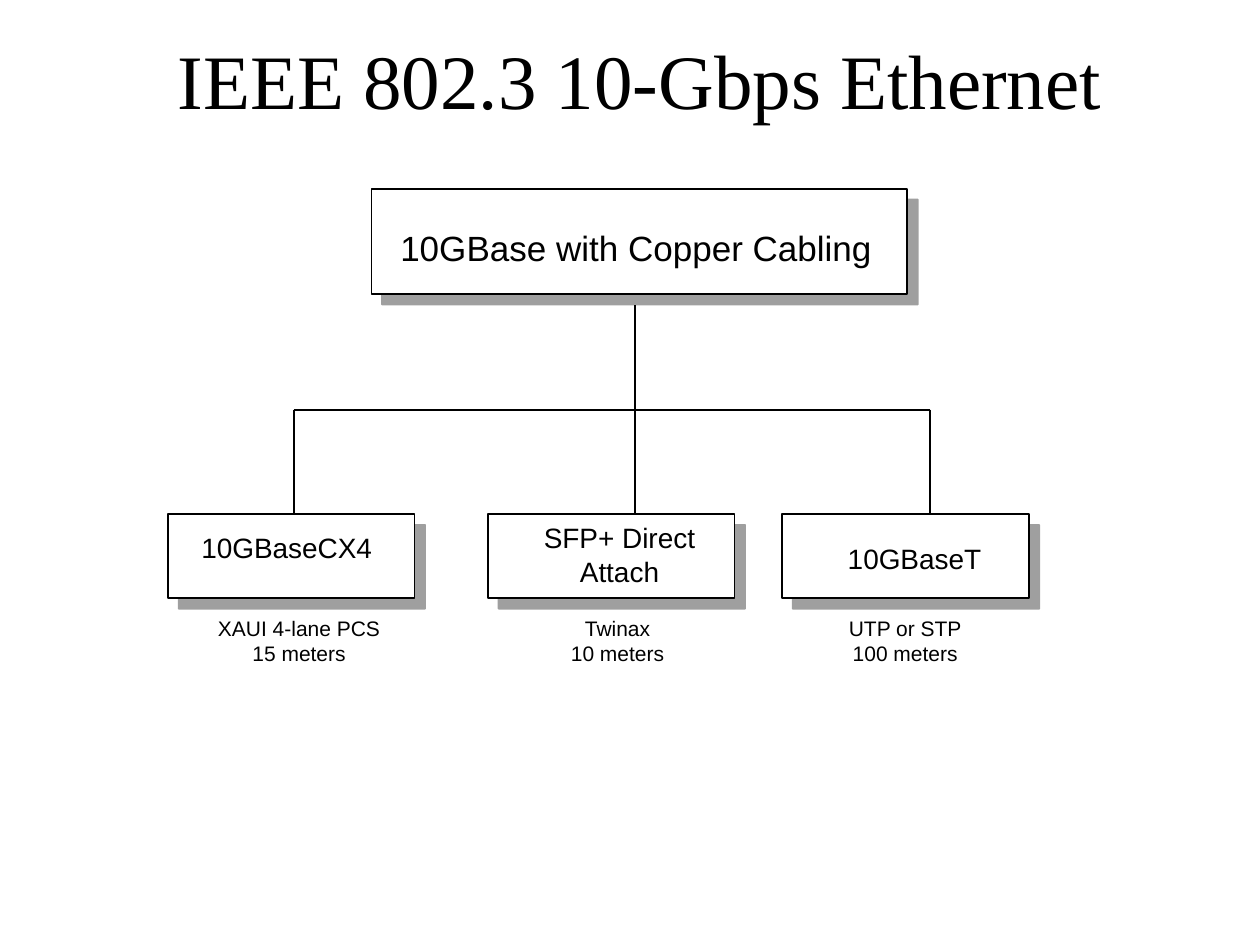
"""Build the slide on 10-Gbps Ethernet over copper cabling."""
from lxml import etree
from pptx import Presentation
from pptx import util as u
from pptx.dml.color import RGBColor
from pptx.enum import shapes, text
from pptx.oxml import ns

TITLE = "IEEE 802.3 10-Gbps Ethernet"
LEFT, CENTER = text.PP_ALIGN.LEFT, text.PP_ALIGN.CENTER
BLACK, WHITE, GRAY = "000000", "FFFFFF", "808080"

ROOT = {"label": "10GBase with Copper Cabling",
        "box": (7.49, 3.81, 10.8, 2.12), "label_box": (7.82, 4.45, 10.16, 1.12)}
BRANCHES = [
    {"label": "10GBaseCX4", "align": LEFT, "left": 3.39, "stem": (5.92, 8.26),
     "label_box": (3.81, 10.58, 4.45, 0.94),
     "caption": ["XAUI 4-lane PCS", "15 meters"], "caption_center": 6.03},
    {"label": "SFP+ Direct Attach", "align": CENTER, "left": 9.84, "stem": (12.8, 6.15),
     "label_box": (10.16, 10.37, 4.66, 1.62),
     "caption": ["Twinax", "10 meters"], "caption_center": 12.45},
    {"label": "10GBaseT", "align": CENTER, "left": 15.77, "stem": (18.75, 8.26),
     "label_box": (16, 10.8, 4.87, 0.94),
     "caption": ["UTP or STP", "100 meters"], "caption_center": 18.25},
]
BAR_TOP, BRANCH_TOP, BRANCH_WIDTH, BRANCH_HEIGHT = 8.26, 10.37, 4.97, 1.69
CAPTION_TOP, CAPTION_WIDTH, CAPTION_HEIGHT = 12.28, 4.32, 1.27


def cm(*lengths):
    return [u.Cm(length) for length in lengths]


def color(value):
    return RGBColor.from_string(value)


def style(para, size, align, font="Arial"):
    para.alignment = align
    para.font.size, para.font.name = u.Pt(size), font
    para.font.color.rgb = color(BLACK)


def add_box(slide, area):
    box = slide.shapes.add_shape(shapes.MSO_SHAPE.RECTANGLE, *cm(*area))
    box.fill.solid()
    box.fill.fore_color.rgb = color(WHITE)
    box.line.color.rgb = color(BLACK)
    box.line.width = u.Pt(1)
    box.shadow.inherit = False
    effects = box._element.spPr.find(ns.qn("a:effectLst"))
    shadow = etree.SubElement(effects, ns.qn("a:outerShdw"), dist=str(u.Pt(8.5)),
                              dir="2700000", algn="ctr", rotWithShape="0")
    tint = etree.SubElement(shadow, ns.qn("a:srgbClr"), val=GRAY)
    etree.SubElement(tint, ns.qn("a:alpha"), val="75000")


def add_text(slide, area, lines, size, align):
    frame = slide.shapes.add_textbox(*cm(*area)).text_frame
    frame.word_wrap = True
    frame.text = "\n".join(lines)
    for para in frame.paragraphs:
        style(para, size, align)


def add_line(slide, *ends):
    line = slide.shapes.add_connector(shapes.MSO_CONNECTOR.STRAIGHT, *cm(*ends))
    line.line.color.rgb = color(BLACK)
    line.line.width = u.Pt(1)
    etree.SubElement(line._element.spPr, ns.qn("a:effectLst"))


def main():
    deck = Presentation()
    deck.slide_width, deck.slide_height = cm(25.4, 19.05)
    slide = deck.slides.add_slide(deck.slide_layouts[5])

    title = slide.shapes.title
    title.left, title.top, title.width, title.height = cm(1.47, 0, 22.86, 3.18)
    title.text_frame.text = TITLE
    title.text_frame.vertical_anchor = text.MSO_ANCHOR.MIDDLE
    style(title.text_frame.paragraphs[0], 44, CENTER, "Times New Roman")

    add_box(slide, ROOT["box"])
    add_text(slide, ROOT["label_box"], [ROOT["label"]], 20, LEFT)
    add_line(slide, BRANCHES[0]["stem"][0], BAR_TOP, BRANCHES[-1]["stem"][0], BAR_TOP)

    for branch in BRANCHES:
        stem, stem_top = branch["stem"]
        add_line(slide, stem, stem_top, stem, BRANCH_TOP)
        add_box(slide, (branch["left"], BRANCH_TOP, BRANCH_WIDTH, BRANCH_HEIGHT))
        add_text(slide, branch["label_box"], [branch["label"]], 16, branch["align"])
        caption_left = branch["caption_center"] - CAPTION_WIDTH / 2
        add_text(slide, (caption_left, CAPTION_TOP, CAPTION_WIDTH, CAPTION_HEIGHT),
                 branch["caption"], 12, CENTER)

    deck.save("out.pptx")


if __name__ == "__main__":
    main()
